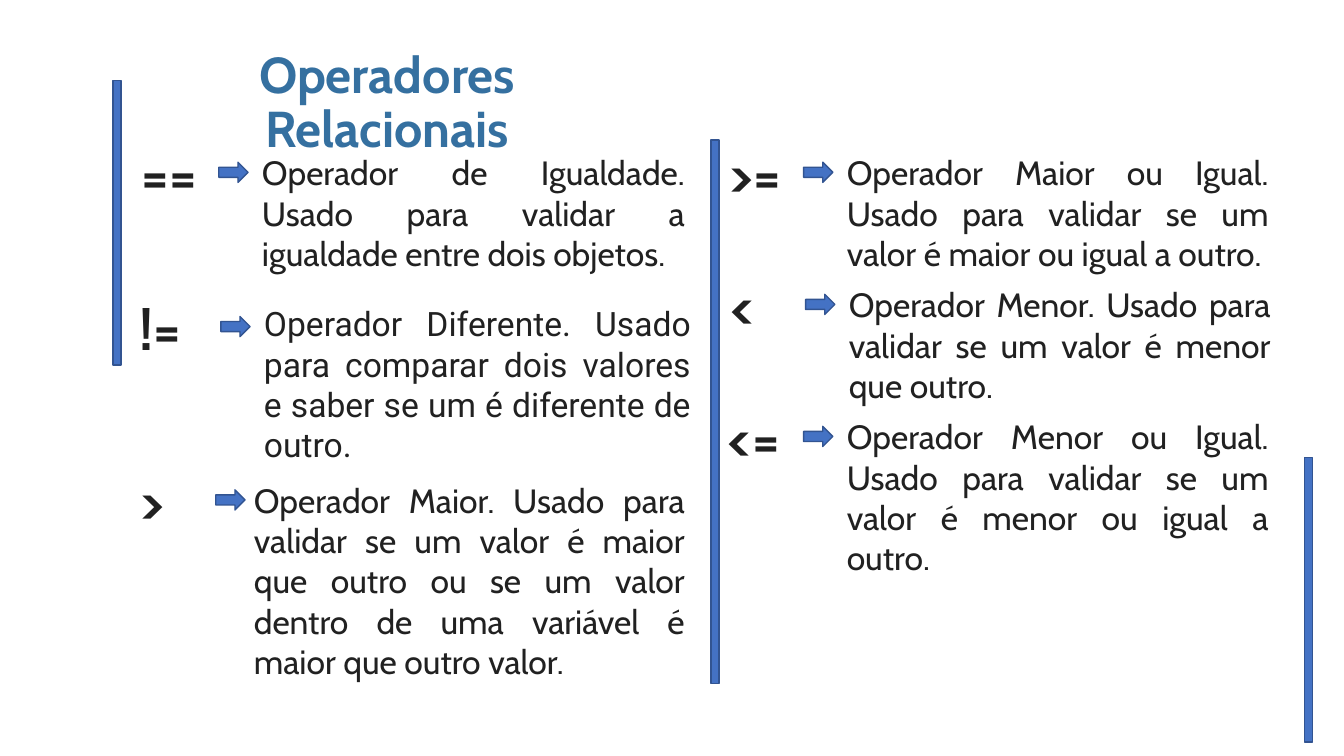
from pptx import Presentation
from pptx.dml.color import RGBColor
from pptx.enum.shapes import MSO_SHAPE
from pptx.enum.text import MSO_ANCHOR, PP_ALIGN
from pptx.util import Pt

PX = 9144  # 100 px to the inch
RECTANGLE, ARROW = MSO_SHAPE.RECTANGLE, MSO_SHAPE.RIGHT_ARROW
TOP, MIDDLE = MSO_ANCHOR.TOP, MSO_ANCHOR.MIDDLE
CENTER, JUSTIFY = PP_ALIGN.CENTER, PP_ALIGN.JUSTIFY

COLORS = {
    "title": "3570A0",
    "text": "212121",
    "accent": "4472C4",
    "accent_line": "325491",
}

BARS = [(112, 80, 8, 282), (705, 139, 8, 539), (1294, 454, 8, 282)]

# box (left, top, width, height), arrow x, description x and y inside the box,
# symbol, description, description font
OPERATORS = [
    ((131, 129, 558, 148), 86, 119, 17, "==",
     "Operador de Igualdade. Usado para validar a igualdade entre dois objetos.",
     "Cabin"),
    ((129, 282, 566, 186), 90, 123, 14, "!=",
     "Operador Diferente. Usado para comparar dois valores e saber se um é "
     "diferente de outro.", "Roboto"),
    ((129, 454, 560, 229), 85, 113, 17, ">",
     "Operador Maior. Usado para validar se um valor é maior que outro ou se um "
     "valor dentro de uma variável é maior que outro valor.", "Cabin"),
    ((713, 129, 555, 148), 84, 117, 17, ">=",
     "Operador Maior ou Igual. Usado para validar se um valor é maior ou igual "
     "a outro.", "Cabin"),
    ((715, 260, 555, 148), 84, 117, 17, "<",
     "Operador Menor. Usado para validar se um valor é menor que outro.",
     "Cabin"),
    ((712, 391, 556, 189), 85, 118, 17, "<=",
     "Operador Menor ou Igual. Usado para validar se um valor é menor ou igual "
     "a outro.", "Cabin"),
]


def to_emu(box):
    return [length * PX for length in box]


def add_accent_shape(slide, kind, box):
    shape = slide.shapes.add_shape(kind, *to_emu(box))
    shape.shadow.inherit = False
    shape.fill.solid()
    shape.fill.fore_color.rgb = RGBColor.from_string(COLORS["accent"])
    shape.line.color.rgb = RGBColor.from_string(COLORS["accent_line"])
    shape.line.width = Pt(1)


def add_text(slide, box, text, size, color="text", font="Cabin", bold=False,
             alignment=JUSTIFY, anchor=TOP):
    frame = slide.shapes.add_textbox(*to_emu(box)).text_frame
    frame.word_wrap = True
    frame.vertical_anchor = anchor
    frame.text = text
    paragraph = frame.paragraphs[0]
    paragraph.alignment = alignment
    run_font = paragraph.runs[0].font
    run_font.name = font
    run_font.size = Pt(size)
    run_font.bold = bold
    run_font.color.rgb = RGBColor.from_string(COLORS[color])
    return frame


def add_title(slide, box):
    frame = add_text(slide, box, "Operadores Relacionais", 36, "title",
                     bold=True, alignment=CENTER, anchor=MIDDLE)
    frame.paragraphs[0].line_spacing = 0.9


def add_operator(slide, box, arrow_x, text_x, text_y, symbol, description, font):
    """Place a symbol, an arrow and a description side by side in the box."""
    left, top, width, height = box
    symbol_frame = add_text(slide, (left, top, 90, 84), symbol, 40, bold=True)
    symbol_frame.margin_top = 10 * PX
    add_accent_shape(slide, ARROW, (left + arrow_x, top + 32, 29, 20))
    add_text(slide, (left + text_x, top + text_y, width - text_x, height - text_y),
             description, 24, font=font)


def main():
    presentation = Presentation()
    presentation.slide_width, presentation.slide_height = to_emu((1333, 750))
    slide = presentation.slides.add_slide(presentation.slide_layouts[6])
    add_title(slide, (123, 57, 522, 93))
    for bar in BARS:
        add_accent_shape(slide, RECTANGLE, bar)
    for operator in OPERATORS:
        add_operator(slide, *operator)
    presentation.save("out.pptx")


if __name__ == "__main__":
    main()
